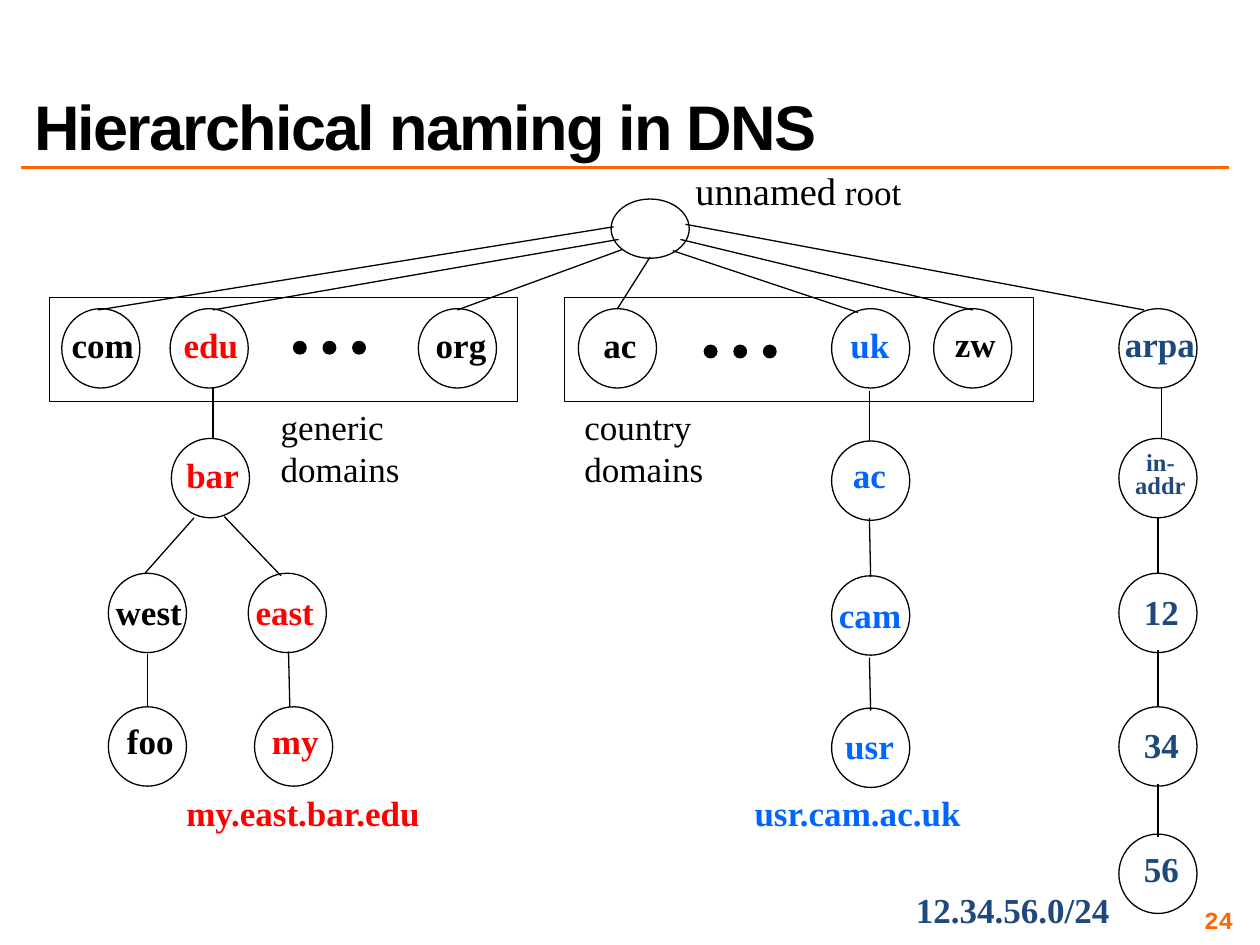
from lxml.etree import SubElement
from pptx import Presentation
from pptx.dml.color import RGBColor
from pptx.enum.shapes import MSO_CONNECTOR, MSO_SHAPE
from pptx.enum.text import MSO_ANCHOR, PP_ALIGN
from pptx.oxml.ns import qn
from pptx.util import Inches, Pt

COLORS = {"black": "000000", "red": "FF0000", "blue": "0066FF",
          "navy": "1F497D", "orange": "FF6600"}
SERIF = "Times New Roman"
NODE_W, NODE_H = 0.62, 0.63
LABEL_H = 0.43
DOT, DOT_STEP = 0.1, 0.235

NODES = [
    ("com", "black", 0.49, 2.45, 0.47, 2.52, 0.69),
    ("edu", "red", 1.35, 2.45, 1.36, 2.52, 0.63),
    ("org", "black", 3.32, 2.45, 3.36, 2.52, 0.6),
    ("ac", "black", 4.59, 2.45, 4.69, 2.52, 0.46),
    ("uk", "blue", 6.6, 2.45, 6.65, 2.52, 0.51),
    ("zw", "black", 7.41, 2.45, 7.48, 2.51, 0.53),
    ("arpa", "navy", 8.88, 2.45, 8.83, 2.51, 0.76),
    ("bar", "red", 1.36, 3.48, 1.38, 3.55, 0.62),
    ("west", "black", 0.86, 4.55, 0.82, 4.64, 0.73),
    ("east", "red", 1.97, 4.55, 1.93, 4.64, 0.66),
    ("foo", "black", 0.86, 5.61, 0.91, 5.66, 0.57),
    ("my", "red", 2.02, 5.61, 2.06, 5.66, 0.57),
    ("ac", "blue", 6.6, 3.5, 6.67, 3.55, 0.46),
    ("cam", "blue", 6.6, 4.57, 6.56, 4.66, 0.69),
    ("usr", "blue", 6.6, 5.62, 6.61, 5.7, 0.59),
    ("in-\naddr", "navy", 8.88, 3.48, 8.91, 3.54, 0.6),
    ("12", "navy", 8.88, 4.55, 8.98, 4.64, 0.48),
    ("34", "navy", 8.88, 5.61, 8.98, 5.69, 0.48),
    ("56", "navy", 8.88, 6.62, 8.98, 6.68, 0.48),
]

EDGES = [
    (4.87, 1.8, 0.78, 2.46), (4.91, 1.9, 1.69, 2.46), (4.94, 1.98, 3.63, 2.46),
    (5.16, 2.04, 4.9, 2.45), (5.44, 1.78, 9.08, 2.46), (5.4, 1.9, 7.72, 2.46),
    (5.34, 1.99, 6.81, 2.48),
    (1.69, 3.08, 1.69, 3.48), (1.54, 4.11, 1.15, 4.55), (1.78, 4.1, 2.23, 4.57),
    (1.17, 5.19, 1.17, 5.61), (2.29, 5.17, 2.3, 5.61),
    (6.9, 3.1, 6.9, 3.5), (6.9, 4.11, 6.91, 4.58), (6.9, 5.22, 6.91, 5.64),
    (9.22, 3.07, 9.22, 3.48), (9.19, 4.1, 9.19, 4.55),
    (9.19, 5.16, 9.19, 5.61), (9.19, 6.22, 9.19, 6.64),
]

CAPTIONS = [
    ("generic\vdomains", "black", False, 2.13, 3.17, 2.03),
    ("country\vdomains", "black", False, 4.54, 3.17, 2.06),
    ("my.east.bar.edu", "red", True, 1.38, 6.23, 2.09),
    ("usr.cam.ac.uk", "blue", True, 5.89, 6.23, 1.86),
    ("12.34.56.0/24", "navy", True, 7.17, 7, 1.74),
]


def rgb(name):
    """Return the named colour."""
    return RGBColor.from_string(COLORS[name])


def format_font(font, color, **values):
    """Set the colour and the given attributes of a font."""
    font.color.rgb = rgb(color)
    for name, value in values.items():
        setattr(font, name, value)


def add_outline(shapes, kind, x, y, w, h, fill=None):
    """Add a thin black preset shape, hollow unless a fill is named."""
    sp = shapes.add_shape(kind, Inches(x), Inches(y), Inches(w), Inches(h))
    sp.shadow.inherit = False
    if fill:
        sp.fill.solid()
        sp.fill.fore_color.rgb = rgb(fill)
    else:
        sp.fill.background()
    sp.line.color.rgb = rgb("black")
    sp.line.width = Pt(0.75)


def add_line(s, x1, y1, x2, y2, color="black", width=0.75):
    """Add a straight line without a shadow."""
    cxn = s.shapes.add_connector(MSO_CONNECTOR.STRAIGHT, Inches(x1), Inches(y1),
                                 Inches(x2), Inches(y2))
    cxn.line.color.rgb = rgb(color)
    cxn.line.width = Pt(width)
    SubElement(cxn._element.spPr, qn("a:effectLst"))


def add_label(s, text, color, x, y, w, h=LABEL_H, size=20, bold=True, name=SERIF):
    """Add an unwrapped text box with room at the right and return its text frame."""
    tf = s.shapes.add_textbox(Inches(x), Inches(y), Inches(w), Inches(h)).text_frame
    tf.word_wrap = False
    tf.margin_right = 0
    tf.text = text
    for p in tf.paragraphs:
        for r in p.runs:
            format_font(r.font, color, size=Pt(size), bold=bold, name=name)
    return tf


def add_node(s, text, color, x, y, label_x, label_y, label_w):
    """Add a tree node with its label, smaller when it has two lines."""
    add_outline(s.shapes, MSO_SHAPE.OVAL, x, y, NODE_W, NODE_H)
    two_lines = "\n" in text
    tf = add_label(s, text, color, label_x, label_y, label_w,
                   h=0.47 if two_lines else LABEL_H, size=14 if two_lines else 20)
    if two_lines:
        tf.margin_right = tf.margin_left
        for p in tf.paragraphs:
            p.alignment = PP_ALIGN.CENTER
            p.line_spacing = 0.8


def add_dots(s, x, y):
    """Add a group of three dots in a row."""
    group = s.shapes.add_group_shape()
    for i in range(3):
        add_outline(group.shapes, MSO_SHAPE.OVAL, x + i * DOT_STEP, y, DOT, DOT, "black")


def add_title(s, text):
    """Place and format the title over its rule."""
    add_line(s, 0.17, 1.33, 9.75, 1.33, "orange", 2)
    sp = s.shapes.title
    box = {"left": 0.17, "top": 0.17, "width": 8.75, "height": 1.17}
    for name, value in box.items():
        setattr(sp, name, Inches(value))
    tf = sp.text_frame
    tf.text = text
    tf.vertical_anchor = MSO_ANCHOR.BOTTOM
    p = tf.paragraphs[0]
    p.alignment = PP_ALIGN.LEFT
    p.line_spacing = 0.8
    r = p.runs[0]
    format_font(r.font, "black", size=Pt(36), bold=True, name="Arial")
    r._r.get_or_add_rPr().set("spc", "-100")


def add_page_number(s, text):
    """Add the page number at the lower right."""
    tf = add_label(s, text, "orange", 7.5, 7.1, 2.33, 0.4, 14, name="Courier New")
    tf.word_wrap = True
    tf.vertical_anchor = MSO_ANCHOR.MIDDLE
    for side in ("left", "top", "right", "bottom"):
        setattr(tf, f"margin_{side}", Inches(0.04))
    tf.paragraphs[0].alignment = PP_ALIGN.RIGHT


def add_root(s):
    """Add the root node and its two-size label."""
    add_outline(s.shapes, MSO_SHAPE.OVAL, 4.85, 1.58, NODE_W, 0.47)
    tf = add_label(s, "unnamed", "black", 5.42, 1.28, 1.85, 0.47, 22, False)
    r = tf.paragraphs[0].add_run()
    r.text = " root"
    format_font(r.font, "black", size=Pt(20), bold=False, name=SERIF)


def main():
    """Build and save the slide."""
    prs = Presentation()
    prs.slide_width, prs.slide_height = Inches(10), Inches(7.5)
    s = prs.slides.add_slide(prs.slide_layouts[5])
    add_title(s, "Hierarchical naming in DNS")
    add_page_number(s, "24")
    for x in (0.39, 4.48):
        add_outline(s.shapes, MSO_SHAPE.RECTANGLE, x, 2.36, 3.72, 0.83)
    add_root(s)
    for node in NODES:
        add_node(s, *node)
    for x, y in ((2.33, 2.71), (5.59, 2.74)):
        add_dots(s, x, y)
    for edge in EDGES:
        add_line(s, *edge)
    for text, color, bold, x, y, w in CAPTIONS:
        add_label(s, text, color, x, y, w, bold=bold)
    prs.save("out.pptx")


if __name__ == "__main__":
    main()
